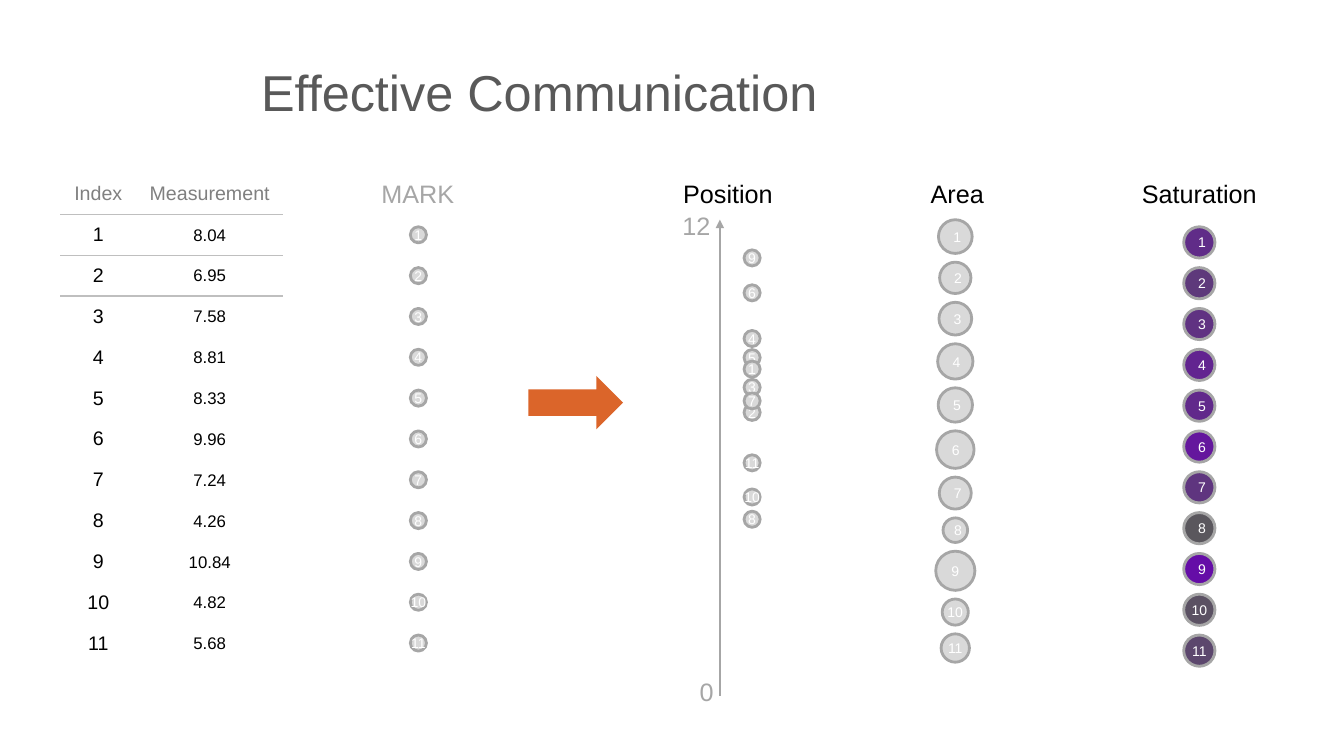
from lxml import etree
from math import sqrt

from pptx import Presentation
from pptx.dml.color import RGBColor
from pptx.enum.shapes import MSO_CONNECTOR, MSO_SHAPE
from pptx.enum.text import MSO_ANCHOR, MSO_AUTO_SIZE, PP_ALIGN
from pptx.oxml.ns import qn
from pptx.util import Inches, Pt

CENTER, LEFT = PP_ALIGN.CENTER, PP_ALIGN.LEFT
MIDDLE, GROW, FIXED = MSO_ANCHOR.MIDDLE, MSO_AUTO_SIZE.SHAPE_TO_FIT_TEXT, MSO_AUTO_SIZE.NONE
OVAL, RIGHT_ARROW, STRAIGHT = MSO_SHAPE.OVAL, MSO_SHAPE.RIGHT_ARROW, MSO_CONNECTOR.STRAIGHT

BLACK = RGBColor(0x00, 0x00, 0x00)
WHITE = RGBColor(0xFF, 0xFF, 0xFF)
TITLE_GRAY = RGBColor(0x59, 0x59, 0x59)
HEADER_GRAY = RGBColor(0x80, 0x80, 0x80)
OUTLINE_GRAY = RGBColor(0xA6, 0xA6, 0xA6)
RULE_GRAY = RGBColor(0xBF, 0xBF, 0xBF)
MARK_GRAY = RGBColor(0xD9, 0xD9, 0xD9)
DULL = RGBColor(0x5A, 0x57, 0x5D)
VIVID = RGBColor(0x65, 0x0D, 0xA7)
ORANGE = RGBColor(0xDB, 0x65, 0x2A)

FONT = "Arial"
NO_TABLE_STYLE = "{2D5ABB26-0587-4C30-8999-92F81FD0307C}"
MEASUREMENTS = [8.04, 6.95, 7.58, 8.81, 8.33, 9.96, 7.24, 4.26, 10.84, 4.82, 5.68]
DRAW_ORDER = [5, 6, 2, 3, 4, 1, 11, 8, 9, 10, 7]

ROW_STEP = 4.05
LABEL_TOP = 17.2
MARK_SIZE = 1.6
SWATCH_SIZE = 3.1
AREA_TOP, AREA_BOTTOM, AREA_SCALE = 21.8, 65.7, 1.18
ZERO_LEVEL, UNIT_STEP = 68.3, 3.94


def grid(cells):
    """Turn cells of a tenth of an inch into a length."""
    return Inches(cells / 10)


def assign(target, values):
    """Set each named attribute of the target."""
    for name, value in values.items():
        setattr(target, name, value)


def write(frame, text, size, color, align=CENTER, **values):
    """Put one formatted paragraph into a text frame."""
    assign(frame, values)
    para = frame.paragraphs[0]
    para.alignment = align
    span = para.add_run()
    span.text = text
    assign(span.font, {"name": FONT, "size": Pt(size)})
    span.font.color.rgb = color


def add_title(page, text):
    """Place and fill the title placeholder."""
    title = page.shapes.title
    assign(title, {"left": grid(24.9), "top": grid(2.8),
                   "width": grid(101.7), "height": grid(12.5)})
    write(title.text_frame, text, 36, TITLE_GRAY, LEFT,
          vertical_anchor=MIDDLE, auto_size=FIXED, word_wrap=True)


def add_label(shapes, text, left, top, width, color, align=CENTER):
    """Add a heading or axis label on one line."""
    box = shapes.add_textbox(grid(left), grid(top), grid(width), grid(4))
    write(box.text_frame, text, 18, color, align, word_wrap=False, auto_size=GROW)


def add_mark(shapes, index, center_x, center_y, size, color=MARK_GRAY):
    """Add a numbered circle around a centre point."""
    mark = shapes.add_shape(OVAL, grid(center_x - size / 2), grid(center_y - size / 2),
                            grid(size), grid(size))
    mark.shadow.inherit = False
    mark.fill.solid()
    mark.fill.fore_color.rgb = color
    mark.line.color.rgb = OUTLINE_GRAY
    mark.line.width = Pt(2)
    values = {"vertical_anchor": MIDDLE}
    if index > 9:
        values.update(word_wrap=False, margin_left=0, margin_right=0,
                      margin_top=0, margin_bottom=0)
    write(mark.text_frame, str(index), 10, WHITE, **values)


def row_center(index, first):
    """Give the centre of an evenly spaced row."""
    return first + (index - 1) * ROW_STEP


def add_plain_marks(page):
    """Add the column of equal marks."""
    shapes = page.shapes.add_group_shape().shapes
    for index in DRAW_ORDER:
        add_mark(shapes, index, 41.5, row_center(index, 23.3), MARK_SIZE)
    add_label(page.shapes, "MARK", 36.8, LABEL_TOP, 9.3, OUTLINE_GRAY)


def add_area_marks(page):
    """Add marks whose area follows the measurement, with equal gaps."""
    shapes = page.shapes.add_group_shape().shapes
    sizes = [AREA_SCALE * sqrt(value) for value in MEASUREMENTS]
    gap = (AREA_BOTTOM - AREA_TOP - sum(sizes)) / (len(sizes) - 1)
    for index in DRAW_ORDER:
        size = sizes[index - 1]
        top = AREA_TOP + sum(sizes[:index - 1]) + gap * (index - 1)
        add_mark(shapes, index, 94.75, top + size / 2, size)
    add_label(shapes, "Area", 91.3, LABEL_TOP, 7.3, BLACK)


def add_axis(shapes, x, bottom, top):
    """Add a vertical axis with an arrowhead at the top."""
    axis = shapes.add_connector(STRAIGHT, grid(x), grid(bottom), grid(x), grid(top))
    axis.line.color.rgb = OUTLINE_GRAY
    axis.line.width = Pt(1.5)
    properties = axis._element.spPr
    etree.SubElement(properties.find(qn("a:ln")), qn("a:tailEnd"), type="triangle")
    etree.SubElement(properties, qn("a:effectLst"))


def add_position_marks(page):
    """Add marks placed along an axis by measurement."""
    shapes = page.shapes.add_group_shape().shapes
    add_axis(shapes, 71.4, 69, 21.8)
    for index in DRAW_ORDER:
        level = ZERO_LEVEL - UNIT_STEP * MEASUREMENTS[index - 1]
        add_mark(shapes, index, 74.6, level, MARK_SIZE)
    add_label(shapes, "0", 68.4, 66.6, 3.4, OUTLINE_GRAY, LEFT)
    add_label(shapes, "12", 66.7, 20.4, 4.8, OUTLINE_GRAY, LEFT)
    add_label(shapes, "Position", 66.7, LABEL_TOP, 11, BLACK)


def saturation(value):
    """Blend from dull to vivid by measurement."""
    low, high = min(MEASUREMENTS), max(MEASUREMENTS)
    share = (value - low) / (high - low)
    return RGBColor(*(round(a + (b - a) * share) for a, b in zip(DULL, VIVID)))


def add_saturation_marks(page):
    """Add marks coloured by measurement."""
    shapes = page.shapes.add_group_shape().shapes
    for index in DRAW_ORDER:
        add_mark(shapes, index, 118.95, row_center(index, 24.05), SWATCH_SIZE,
                 saturation(MEASUREMENTS[index - 1]))
    add_label(shapes, "Saturation", 112.2, LABEL_TOP, 13.5, BLACK)


def add_rule(cell, side):
    """Draw a thin line on one side of a cell."""
    line = etree.SubElement(cell._tc.get_or_add_tcPr(), qn(side), w=str(Pt(1)))
    fill = etree.SubElement(line, qn("a:solidFill"))
    etree.SubElement(fill, qn("a:srgbClr"), val=str(RULE_GRAY))


def add_measurement_table(page):
    """Add the table of indexes and measurements."""
    rows = [("Index", "Measurement")]
    rows += [(str(i), f"{value:.2f}") for i, value in enumerate(MEASUREMENTS, 1)]
    table = page.shapes.add_table(len(rows), 2, grid(6), grid(LABEL_TOP),
                                  grid(22.1), grid(48.7)).table
    assign(table, {"first_row": False, "horz_banding": False})
    table._tbl.tblPr.find(qn("a:tableStyleId")).text = NO_TABLE_STYLE
    for column, width in zip(table.columns, (7.5, 14.6)):
        column.width = grid(width)
    rules = {0: ["a:lnB"], 1: ["a:lnT", "a:lnB"], 2: ["a:lnT"]}
    tight = {"margin_left": grid(0.1), "margin_right": grid(0.1),
             "margin_top": grid(0.1), "margin_bottom": 0}
    for r, texts in enumerate(rows):
        for c, text in enumerate(texts):
            cell = table.cell(r, c)
            is_value = r > 0 and c == 1
            cell.vertical_anchor = MIDDLE
            assign(cell, tight if is_value else {})
            for side in rules.get(r, []):
                add_rule(cell, side)
            cell.fill.background()
            write(cell.text_frame, text, 12 if is_value else 14,
                  BLACK if r else HEADER_GRAY)


def add_arrow(page):
    """Add the arrow from plain marks to the encodings."""
    arrow = page.shapes.add_shape(RIGHT_ARROW, grid(52.4), grid(37.3), grid(9.4), grid(5.3))
    arrow.shadow.inherit = False
    arrow.fill.solid()
    arrow.fill.fore_color.rgb = ORANGE
    arrow.line.fill.background()


def main():
    """Build and save the slide."""
    deck = Presentation()
    assign(deck, {"slide_width": Inches(13.33), "slide_height": Inches(7.5)})
    page = deck.slides.add_slide(deck.slide_layouts[5])
    add_title(page, "Effective Communication")
    add_plain_marks(page)
    add_area_marks(page)
    add_position_marks(page)
    add_saturation_marks(page)
    add_measurement_table(page)
    add_arrow(page)
    deck.save("out.pptx")


if __name__ == "__main__":
    main()
